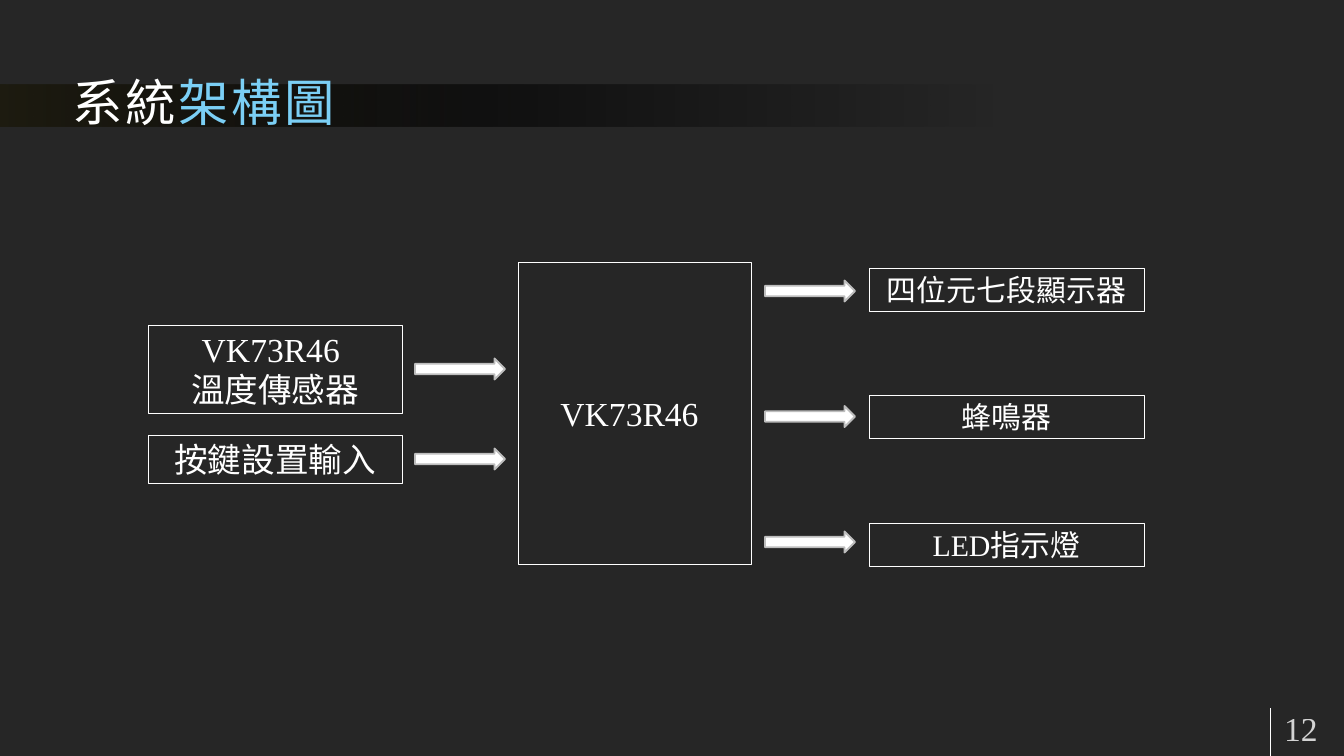
"""Build the system architecture slide."""
from dataclasses import dataclass

from lxml import etree
from pptx import Presentation
from pptx import util as u
from pptx.dml.color import RGBColor
from pptx.enum import shapes, text
from pptx.oxml import ns

SCALE = u.Inches(20) / 1344
CHIP = "VK73R46"


@dataclass(frozen=True)
class Theme:
    """Colours, font and type sizes of the slide."""

    background: str = "262626"
    white: str = "FFFFFF"
    accent: str = "7BCFF5"
    arrow_edge: str = "BDBDBD"
    band_start: str = "1E1C11"
    band_end: str = "000000"
    font: str = "Times New Roman"
    title: int = 54
    large: int = 36
    small: int = 32


THEME = Theme()


def px(*lengths):
    """Turn pixel lengths into EMU."""
    return [u.Emu(round(length * SCALE)) for length in lengths]


def rgb(colour):
    """Turn a hex string into a colour."""
    return RGBColor.from_string(colour)


def add_child(parent, tag, **attributes):
    """Append a DrawingML element to a parent."""
    return etree.SubElement(parent, ns.qn(tag), **attributes)


def style_run(run, size, colour=THEME.white):
    """Give a run its font, size and colour."""
    run.font.name = THEME.font
    run.font.size = u.Pt(size)
    run.font.color.rgb = rgb(colour)


def write(shape, words, size, align=text.PP_ALIGN.CENTER):
    """Write white lines of text into a shape."""
    frame = shape.text_frame
    frame.word_wrap = True
    frame.vertical_anchor = text.MSO_ANCHOR.MIDDLE
    frame.text = words
    for paragraph in frame.paragraphs:
        paragraph.alignment = align
        for run in paragraph.runs:
            style_run(run, size)


def widen_insets(frame):
    """Set the wide margins of the title and page number."""
    frame.margin_left = frame.margin_right = u.Inches(0.18)
    frame.margin_top = frame.margin_bottom = u.Inches(0.09)


def add_band(slide):
    """Add the fading band behind the title."""
    band = slide.shapes.add_shape(shapes.MSO_SHAPE.RECTANGLE, *px(0, 85, 1344, 42))
    band.shadow.inherit = False
    band.line.fill.background()
    band.fill.gradient()
    band.fill.gradient_angle = 0
    stops = band._element.spPr.find(ns.qn("a:gradFill")).find(ns.qn("a:gsLst"))
    for stop in list(stops):
        stops.remove(stop)
    for position, colour, alpha in (
        (0, THEME.band_start, 100), (39, THEME.band_end, 54), (74, THEME.band_end, 0)
    ):
        stop = add_child(stops, "a:gs", pos=str(position * 1000))
        fill = add_child(stop, "a:srgbClr", val=colour)
        add_child(fill, "a:alpha", val=str(alpha * 1000))


def add_title(slide, parts):
    """Add the title from pairs of words and colour."""
    frame = slide.shapes.add_textbox(*px(60, 43, 1210, 95)).text_frame
    frame.word_wrap = True
    frame.vertical_anchor = text.MSO_ANCHOR.BOTTOM
    widen_insets(frame)
    for words, colour in parts:
        run = frame.paragraphs[0].add_run()
        run.text = words
        style_run(run, THEME.title, colour)
        run.font._element.set("spc", "300")


def add_page_number(slide, number):
    """Add the page number and the rule beside it."""
    rule = slide.shapes.add_connector(
        shapes.MSO_CONNECTOR.STRAIGHT, *px(1270, 708, 1270, 756)
    )
    rule.line.color.rgb = rgb(THEME.white)
    rule.line.width = u.Pt(0.75)
    add_child(rule._element.spPr, "a:effectLst")
    box = slide.shapes.add_textbox(*px(1272, 708, 72, 40))
    write(box, number, THEME.large, text.PP_ALIGN.LEFT)
    widen_insets(box.text_frame)
    run = box.text_frame.paragraphs[0].runs[0]
    colour = run.font._element.find(ns.qn("a:solidFill"))[0]
    add_child(colour, "a:alpha", val="80000")


def add_block(slide, left, top, width, height, words="", size=THEME.large):
    """Add an outlined block with an optional label."""
    block = slide.shapes.add_shape(
        shapes.MSO_SHAPE.RECTANGLE, *px(left, top, width, height)
    )
    block.shadow.inherit = False
    block.fill.background()
    block.line.color.rgb = rgb(THEME.white)
    block.line.width = u.Pt(0.75)
    if words:
        write(block, words, size)


def add_arrow(slide, centre_x, centre_y, length=90, thickness=21):
    """Add a block arrow pointing right around a centre."""
    arrow = slide.shapes.add_shape(
        shapes.MSO_SHAPE.DOWN_ARROW,
        *px(centre_x - thickness / 2, centre_y - length / 2, thickness, length),
    )
    arrow.rotation = 270
    arrow.shadow.inherit = False
    arrow.fill.solid()
    arrow.fill.fore_color.rgb = rgb(THEME.white)
    arrow.line.color.rgb = rgb(THEME.arrow_edge)
    arrow.line.width = u.Pt(2)


def main():
    """Build and save the slide."""
    presentation = Presentation()
    presentation.slide_width, presentation.slide_height = px(1344, 756)
    slide = presentation.slides.add_slide(presentation.slide_layouts[6])
    slide.background.fill.solid()
    slide.background.fill.fore_color.rgb = rgb(THEME.background)

    add_band(slide)
    add_title(slide, (("系統", THEME.white), ("架構圖", THEME.accent)))
    add_page_number(slide, "12")

    inputs = ((f"{CHIP} \n溫度傳感器", 325, 88), ("按鍵設置輸入", 435, 48))
    for words, top, height in inputs:
        add_block(slide, 148, top, 254, height, words)
        add_arrow(slide, 460, top + height / 2)

    add_block(slide, 518, 262, 233, 302)
    controller = slide.shapes.add_textbox(*px(550, 389, 159, 48))
    write(controller, CHIP, THEME.large)

    for row, words in enumerate(("四位元七段顯示器", "蜂鳴器", "LED指示燈")):
        add_block(slide, 869, 268 + 127.5 * row, 275, 43, words, THEME.small)
        add_arrow(slide, 810, 291 + 125.5 * row)

    presentation.save("out.pptx")


if __name__ == "__main__":
    main()
